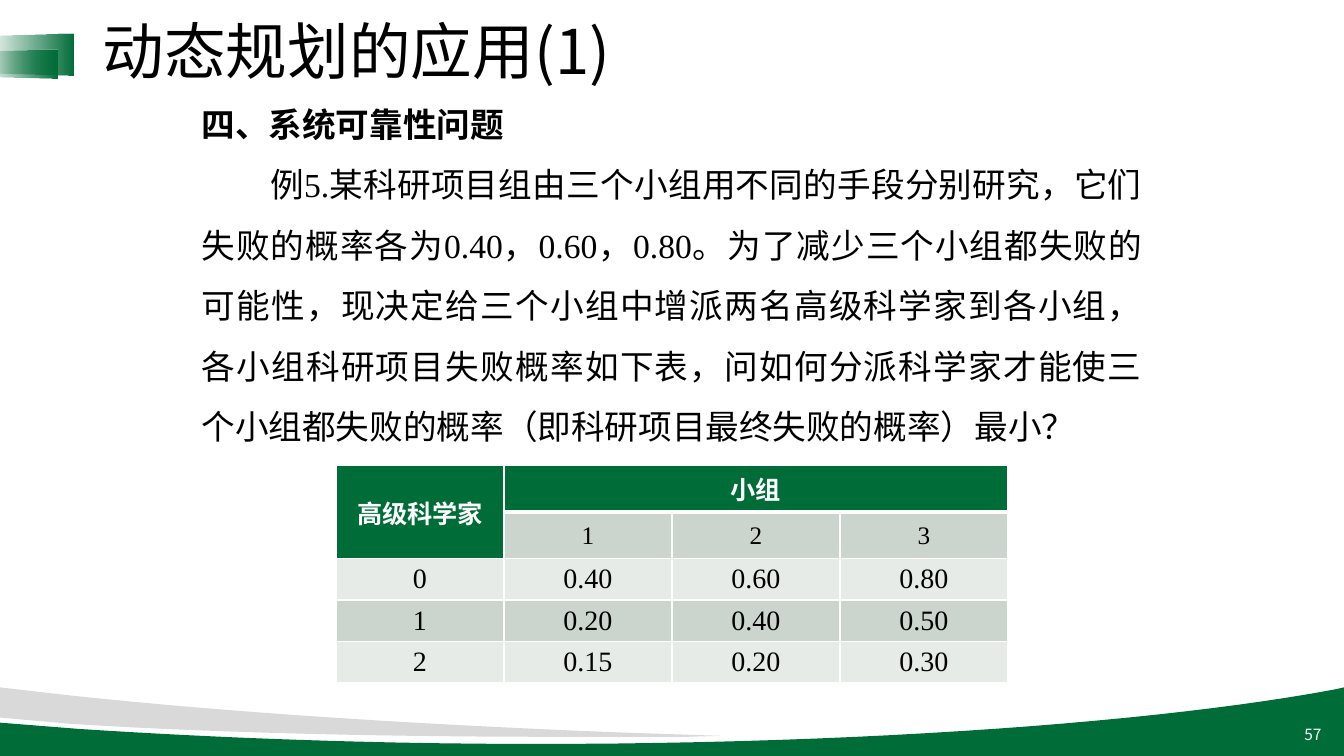
from lxml.etree import SubElement
from pptx import Presentation
from pptx.dml.color import RGBColor
from pptx.enum.shapes import MSO_SHAPE
from pptx.enum.text import MSO_ANCHOR, MSO_AUTO_SIZE, PP_ALIGN
from pptx.oxml.ns import qn
from pptx.util import Pt

# Content
TITLE = "动态规划的应用(1)"
HEADING = "四、系统可靠性问题"
PROBLEM = (
    "例5.某科研项目组由三个小组用不同的手段分别研究，它们失败的概率各为0.40，0.60，0.80。"
    "为了减少三个小组都失败的可能性，现决定给三个小组中增派两名高级科学家到各小组，"
    "各小组科研项目失败概率如下表，问如何分派科学家才能使三个小组都失败的概率"
    "（即科研项目最终失败的概率）最小？"
)
TABLE_ROWS = [
    ["高级科学家", "小组", "", ""],
    ["", "1", "2", "3"],
    ["0", "0.40", "0.60", "0.80"],
    ["1", "0.20", "0.40", "0.50"],
    ["2", "0.15", "0.20", "0.30"],
]
PAGE_NUMBER = "57"

THEME = {
    "green": "006D39", "gray": "D9D9D9", "white": "FFFFFF", "black": "000000",
    "band_dark": "CCD4CE", "band_light": "E7EBE8",
    "sans": "Noto Sans CJK SC", "serif": "Times New Roman",
    "title": 44, "body": 24, "cell": 20, "header": 18, "number": 11,
}

# Wave outlines in points: a pair is a line, six numbers are a curve
WAVES = [
    ("green", [(960, 491), (960, 540), (0, 540), (0, 516.2), (55.4, 520.6),
               (152.6, 527, 264.2, 531.4, 383, 531.4),
               (620.6, 531.4, 830.2, 515.5, 953.3, 492.5)]),
    ("gray", [(0, 491), (50.4, 496.8), (164.9, 509, 300.2, 517.7, 447.8, 523.4),
              (514.8, 525.6), (492.5, 526.3),
              (460.8, 526.3, 427.7, 526.3, 394.6, 526.3),
              (259.9, 526.3, 138.2, 522.7, 49.7, 517), (0, 512.6)]),
]
# Left, top, width, height before the quarter turn
TITLE_MARKS = [(5.8, 7.2, 29.5, 63.4), (4.3, 19.4, 20.9, 52.6)]


def color(name):
    return RGBColor.from_string(THEME[name])


def write(paragraph, text, size, ink="black", font="serif", bold=False,
          align=PP_ALIGN.LEFT, line_spacing=1.0, indent=0):
    properties = paragraph._p.get_or_add_pPr()
    properties.set("marL", "0")
    properties.set("indent", str(Pt(indent)))
    paragraph.alignment = align
    paragraph.line_spacing = line_spacing
    paragraph.space_before = paragraph.space_after = Pt(0)
    SubElement(properties, qn("a:buNone"))
    run = paragraph.add_run()
    run.text = text
    run.font.name = THEME[font]
    run.font.size = Pt(THEME[size])
    run.font.bold = bold
    run.font.color.rgb = color(ink)
    east_asian = SubElement(run._r.get_or_add_rPr(), qn("a:ea"))
    east_asian.set("typeface", THEME["sans"])


def place(shape, left, top, width, height, anchor=MSO_ANCHOR.TOP):
    shape.left, shape.top = Pt(left), Pt(top)
    shape.width, shape.height = Pt(width), Pt(height)
    frame = shape.text_frame
    frame.word_wrap = True
    frame.auto_size = MSO_AUTO_SIZE.NONE
    frame.vertical_anchor = anchor
    return frame


def outline_points(segments, steps=24):
    points = []
    for segment in segments:
        if len(segment) == 2:
            points.append(segment)
            continue
        start = points[-1]
        controls = [start, segment[0:2], segment[2:4], segment[4:6]]
        for step in range(1, steps + 1):
            t = step / steps
            weights = ((1 - t) ** 3, 3 * t * (1 - t) ** 2, 3 * t * t * (1 - t), t ** 3)
            points.append(tuple(sum(w * c[axis] for w, c in zip(weights, controls))
                                for axis in (0, 1)))
    return [(Pt(x), Pt(y)) for x, y in points]


def set_borders(cell, widths):
    properties = cell._tc.get_or_add_tcPr()
    for index, (side, width) in enumerate(widths.items()):
        line = properties.makeelement(qn("a:ln" + side), {"w": str(Pt(width))})
        fill = SubElement(line, qn("a:solidFill"))
        SubElement(fill, qn("a:srgbClr")).set("val", THEME["white"])
        properties.insert(index, line)


def add_waves(slide):
    for fill, segments in WAVES:
        points = outline_points(segments)
        builder = slide.shapes.build_freeform(*points[0], scale=1.0)
        builder.add_line_segments(points[1:], close=True)
        wave = builder.convert_to_shape()
        wave.shadow.inherit = False
        wave.fill.solid()
        wave.fill.fore_color.rgb = color(fill)
        wave.line.fill.background()


def add_title_marks(slide):
    for box in TITLE_MARKS:
        mark = slide.shapes.add_shape(MSO_SHAPE.TRAPEZOID, *map(Pt, box))
        mark.rotation = 270
        mark.adjustments[0] = 0.07
        mark.shadow.inherit = False
        mark.line.fill.background()
        mark.fill.gradient()
        mark.fill.gradient_angle = 270
        for stop, position in zip(mark.fill.gradient_stops, (0, 1)):
            stop.position = position
            stop.color.rgb = color("green")
        # The first stop is fully transparent
        first = next(mark._element.iter(qn("a:srgbClr")))
        SubElement(first, qn("a:alpha")).set("val", "0")


def add_probability_table(slide):
    row_count, column_count = len(TABLE_ROWS), len(TABLE_ROWS[0])
    table = slide.shapes.add_table(row_count, column_count, Pt(240), Pt(332.6),
                                   Pt(480), Pt(29.2 * row_count)).table
    table.cell(0, 0).merge(table.cell(1, 0))
    table.cell(0, 1).merge(table.cell(0, column_count - 1))
    for row, texts in enumerate(TABLE_ROWS):
        for column, text in enumerate(texts):
            cell = table.cell(row, column)
            header = row == 0 or (row == 1 and column == 0)
            cell.fill.solid()
            cell.fill.fore_color.rgb = color(
                "green" if header else "band_dark" if row % 2 else "band_light")
            cell.vertical_anchor = MSO_ANCHOR.MIDDLE
            set_borders(cell, {"L": 1, "R": 1,
                               "T": 3 if row == 1 and column else 1,
                               "B": 3 if row == 0 and column else 1})
            if text:
                write(cell.text_frame.paragraphs[0], text,
                      "header" if row < 2 else "cell",
                      ink="white" if header else "black", bold=header,
                      align=PP_ALIGN.CENTER)


def main():
    presentation = Presentation()
    presentation.slide_width, presentation.slide_height = Pt(960), Pt(540)
    slide = presentation.slides.add_slide(presentation.slide_layouts[1])

    # Background decoration
    add_waves(slide)
    add_title_marks(slide)

    # Title and problem statement
    title = place(slide.shapes.title, 66.2, 6.5, 828, 64.8, MSO_ANCHOR.MIDDLE)
    write(title.paragraphs[0], TITLE, "title", font="sans", line_spacing=0.9)
    body = place(slide.placeholders[1], 136.8, 56.2, 686.2, 275.8)
    write(body.paragraphs[0], HEADING, "body", bold=True,
          align=PP_ALIGN.JUSTIFY, line_spacing=1.5)
    write(body.add_paragraph(), PROBLEM, "body",
          align=PP_ALIGN.JUSTIFY, line_spacing=1.5, indent=49)

    # Failure probabilities
    add_probability_table(slide)

    # Page number
    number = place(slide.shapes.add_textbox(0, 0, 0, 0), 735.1, 510.5, 216, 28.8,
                   MSO_ANCHOR.MIDDLE)
    write(number.paragraphs[0], PAGE_NUMBER, "number", ink="white", font="sans",
          align=PP_ALIGN.RIGHT)
    presentation.save("out.pptx")


if __name__ == "__main__":
    main()
